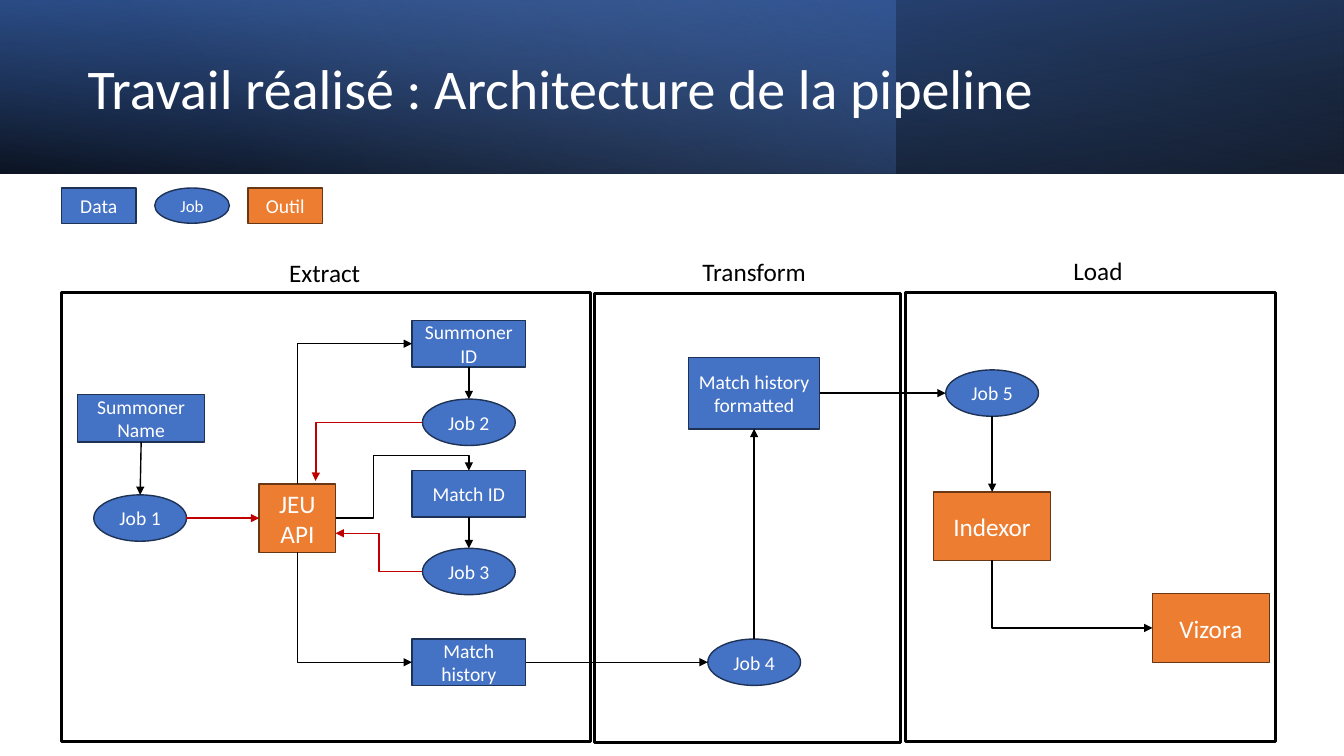
import pptx
import pptx.util
import pptx.dml.color
import pptx.enum.shapes
import pptx.enum.text
import pptx.oxml
import pptx.oxml.ns

THEME = {
    "font": "Calibri", "white": "FFFFFF", "black": "000000", "red": "C00000",
    "blue": "4472C4", "blue_line": "1E3256", "orange": "ED7D31", "orange_line": "683715",
    "navy": "2F5597", "pale": "8FAADC",
    "title": 40, "head": 18, "body": 14, "small": 12, "thin": 1, "thick": 2.25,
}
W, H = 13.33, 7.5
BAND = 0.23 * H

TITLE = "Travail réalisé : Architecture de la pipeline"
BANDS = [
    (1, 180, True, 100, [(0, "black", 96), (100, "navy", 100)]),
    (2 / 3, 0, False, 140, [(0, "blue", 41), (74, "pale", 0)]),
    (1, 0, True, 260, [(0, "black", 63), (78, "blue", 15)]),
]
STAGES = [
    ("Extract", 0.61, 2.9, 5.25, 3.22, 2.7),
    ("Transform", 5.9, 2.91, 3.03, 7.48, 2.69),
    ("Load", 8.98, 2.9, 3.67, 10.89, 2.68),
]
COLS = {"name": 1.4, "start": 1.39, "api": 2.95, "extract": 4.65,
        "transform": 7.48, "load": 9.84, "view": 12.01}
ROWS = {"id": 3.41, "top": 3.9, "name": 4.15, "job2": 4.19, "match": 4.9,
        "api": 5.14, "store": 5.22, "job3": 5.67, "view": 6.23, "history": 6.57}
LEGEND_X, LEGEND_Y, LEGEND_STEP = 0.98, 2.04, 0.925
KINDS = {
    "data": ("RECTANGLE", "blue", "body"),
    "job": ("OVAL", "blue", "body"),
    "tool": ("RECTANGLE", "orange", "head"),
}
SIZES = {"data": (1.13, 0.46), "job": (0.92, 0.46), "tool": (1.16, 0.68)}
LEGEND = [("Data", "data", "body"), ("Job", "job", "small"), ("Outil", "tool", "body")]
NODES = {
    "name": ("Summoner Name", "data", "name", "name", (1.26, 0.47)),
    "job1": ("Job 1", "job", "start", "api", None),
    "api": ("JEU API", "tool", "api", "api", (0.76, 0.68)),
    "id": ("Summoner ID", "data", "extract", "id", None),
    "job2": ("Job 2", "job", "extract", "job2", None),
    "match": ("Match ID", "data", "extract", "match", None),
    "job3": ("Job 3", "job", "extract", "job3", None),
    "history": ("Match history", "data", "extract", "history", None),
    "job4": ("Job 4", "job", "transform", "history", None),
    "formatted": ("Match history formatted", "data", "transform", "top", (1.3, 0.71)),
    "job5": ("Job 5", "job", "load", "top", None),
    "store": ("Indexor", "tool", "load", "store", None),
    "view": ("Vizora", "tool", "view", "view", None),
}
LINKS = [
    ("name", "bottom", "job1", "top", "black"),
    ("job1", "right", "api", "left", "red"),
    ("id", "bottom", "job2", "top", "black"),
    ("match", "bottom", "job3", "top", "black"),
    ("history", "right", "job4", "left", "black"),
    ("job4", "top", "formatted", "bottom", "black"),
    ("formatted", "right", "job5", "left", "black"),
    ("job5", "bottom", "store", "top", "black"),
]
CORNERS = [("api", "top", "id"), ("api", "bottom", "history"), ("store", "bottom", "view")]
ELBOWS = [
    ("job2", "left", (0, 0), "api", "top", (0.18, -0.03), "red", [0.997]),
    ("api", "right", (0, 0), "match", "top", (0, 0), "black", [0.286, 1.317]),
    ("job3", "left", (0, 0), "api", "right", (0, 0.15), "red", [0.5]),
]
SIDES = {"top": (0, -0.5), "bottom": (0, 0.5), "left": (-0.5, 0), "right": (0.5, 0)}

inch = pptx.util.Inches
MSO = pptx.enum.shapes.MSO_SHAPE
CONN = pptx.enum.shapes.MSO_CONNECTOR
ALIGN = pptx.enum.text.PP_ALIGN


def rgb(name):
    return pptx.dml.color.RGBColor.from_string(THEME[name])


def put_text(tf, text, size="body", color="white", align=ALIGN.CENTER, wrap=True, spacing=None):
    tf.word_wrap = wrap
    tf.auto_size = pptx.enum.text.MSO_AUTO_SIZE.NONE
    tf.vertical_anchor = pptx.enum.text.MSO_ANCHOR.MIDDLE
    p = tf.paragraphs[0]
    p.alignment = align
    p.line_spacing = spacing
    r = p.add_run()
    r.text = text
    r.font.name = THEME["font"]
    r.font.size = pptx.util.Pt(THEME[size])
    r.font.color.rgb = rgb(color)


def add_box(s, shape, x, y, w, h, fill=None, line=None, weight="thin"):
    sp = s.shapes.add_shape(MSO[shape], inch(x), inch(y), inch(w), inch(h))
    sp.shadow.inherit = False
    if fill:
        sp.fill.solid()
        sp.fill.fore_color.rgb = rgb(fill)
    else:
        sp.fill.background()
    if line:
        sp.line.color.rgb = rgb(line)
        sp.line.width = pptx.util.Pt(THEME[weight])
    else:
        sp.line.fill.background()
    return sp


def add_band(s, share, rotation, flip, angle, stops):
    sp = add_box(s, "RECTANGLE", 0, 0, share * W, BAND)
    sp.rotation = rotation
    pr = sp.element.spPr
    if flip:
        pr.find(pptx.oxml.ns.qn("a:xfrm")).set("flipH", "1")
    marks = "".join(
        f'<a:gs pos="{pos * 1000}"><a:srgbClr val="{THEME[color]}">'
        f'<a:alpha val="{alpha * 1000}"/></a:srgbClr></a:gs>' for pos, color, alpha in stops)
    grad = pptx.oxml.parse_xml(
        f'<a:gradFill {pptx.oxml.ns.nsdecls("a")} rotWithShape="1"><a:gsLst>{marks}</a:gsLst>'
        f'<a:lin ang="{angle * 60000}" scaled="0"/></a:gradFill>')
    pr.replace(pr.find(pptx.oxml.ns.qn("a:noFill")), grad)


def add_node(s, text, kind, x, y, size, font=None):
    shape, fill, default = KINDS[kind]
    w, h = size
    sp = add_box(s, shape, x - w / 2, y - h / 2, w, h, fill, fill + "_line")
    put_text(sp.text_frame, text, size=font or default)


def node_size(key):
    return NODES[key][4] or SIZES[NODES[key][1]]


def site(key, side, shift=(0, 0)):
    w, h = node_size(key)
    dx, dy = SIDES[side]
    return COLS[NODES[key][2]] + dx * w + shift[0], ROWS[NODES[key][3]] + dy * h + shift[1]


def add_arrow(s, start, end, color="black", kind=CONN.STRAIGHT):
    c = s.shapes.add_connector(kind, *[inch(v) for v in (*start, *end)])
    c.line.color.rgb = rgb(color)
    c.line.width = pptx.util.Pt(THEME["thin"])
    ns = pptx.oxml.ns.nsdecls("a")
    c.line._get_or_add_ln().append(pptx.oxml.parse_xml(f'<a:tailEnd {ns} type="triangle"/>'))
    c.element.spPr.append(pptx.oxml.parse_xml(f"<a:effectLst {ns}/>"))
    return c


def set_bend(c, preset, adjust=()):
    geom = c.element.spPr.find(pptx.oxml.ns.qn("a:prstGeom"))
    guides = "".join(f'<a:gd name="adj{i}" fmla="val {round(v * 100000)}"/>'
                     for i, v in enumerate(adjust, 1))
    new = pptx.oxml.parse_xml(
        f'<a:prstGeom {pptx.oxml.ns.nsdecls("a")} prst="{preset}">'
        f"<a:avLst>{guides}</a:avLst></a:prstGeom>")
    c.element.spPr.replace(geom, new)


def add_corner(s, start, end):
    (x1, y1), (x2, y2) = start, end
    cx, cy = (x1 + x2) / 2, (y1 + y2) / 2
    w, h = abs(y2 - y1), abs(x2 - x1)
    c = add_arrow(s, (cx - w / 2, cy - h / 2), (cx + w / 2, cy + h / 2), kind=CONN.ELBOW)
    set_bend(c, "bentConnector2")
    xfrm = c.element.spPr.find(pptx.oxml.ns.qn("a:xfrm"))
    up = y2 < y1
    xfrm.set("rot", str((90 if up else 270) * 60000))
    xfrm.set("flipH", "1")
    if up:
        xfrm.set("flipV", "1")


def main():
    prs = pptx.Presentation()
    prs.slide_width, prs.slide_height = inch(W), inch(H)
    s = prs.slides.add_slide(prs.slide_layouts[5])
    for band in BANDS:
        add_band(s, *band)

    title = s.shapes.title
    title.left, title.top, title.width, title.height = [inch(v) for v in (0.77, 0.27, 10.66, 1.27)]
    put_text(title.text_frame, TITLE, size="title", align=ALIGN.LEFT, spacing=0.9)
    title.element.getparent().append(title.element)

    for i, (text, kind, font) in enumerate(LEGEND):
        add_node(s, text, kind, LEGEND_X + i * LEGEND_STEP, LEGEND_Y, (0.74, 0.35), font)
    for text, x, y, w, label_x, label_y in STAGES:
        add_box(s, "RECTANGLE", x, y, w, 4.46, line="black", weight="thick")
        tb = s.shapes.add_textbox(inch(label_x - 0.7), inch(label_y - 0.2), inch(1.4), inch(0.4))
        put_text(tb.text_frame, text, size="head", color="black")
    for key, (text, kind, col, row, size) in NODES.items():
        add_node(s, text, kind, COLS[col], ROWS[row], node_size(key))

    for a, side_a, b, side_b, color in LINKS:
        add_arrow(s, site(a, side_a), site(b, side_b), color)
    for a, side_a, b in CORNERS:
        add_corner(s, site(a, side_a), site(b, "left"))
    for a, side_a, shift_a, b, side_b, shift_b, color, adjust in ELBOWS:
        c = add_arrow(s, site(a, side_a, shift_a), site(b, side_b, shift_b), color, CONN.ELBOW)
        set_bend(c, f"bentConnector{len(adjust) + 2}", adjust)
    prs.save("out.pptx")


if __name__ == "__main__":
    main()
